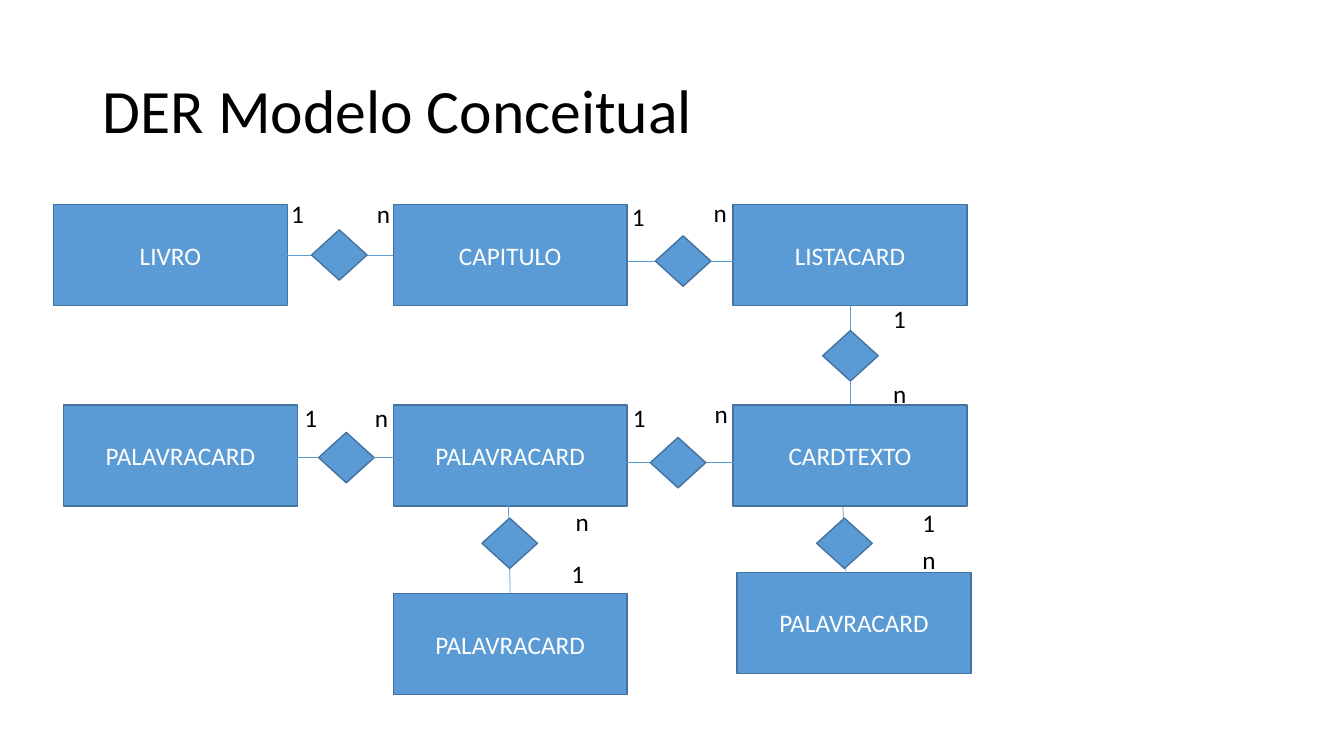
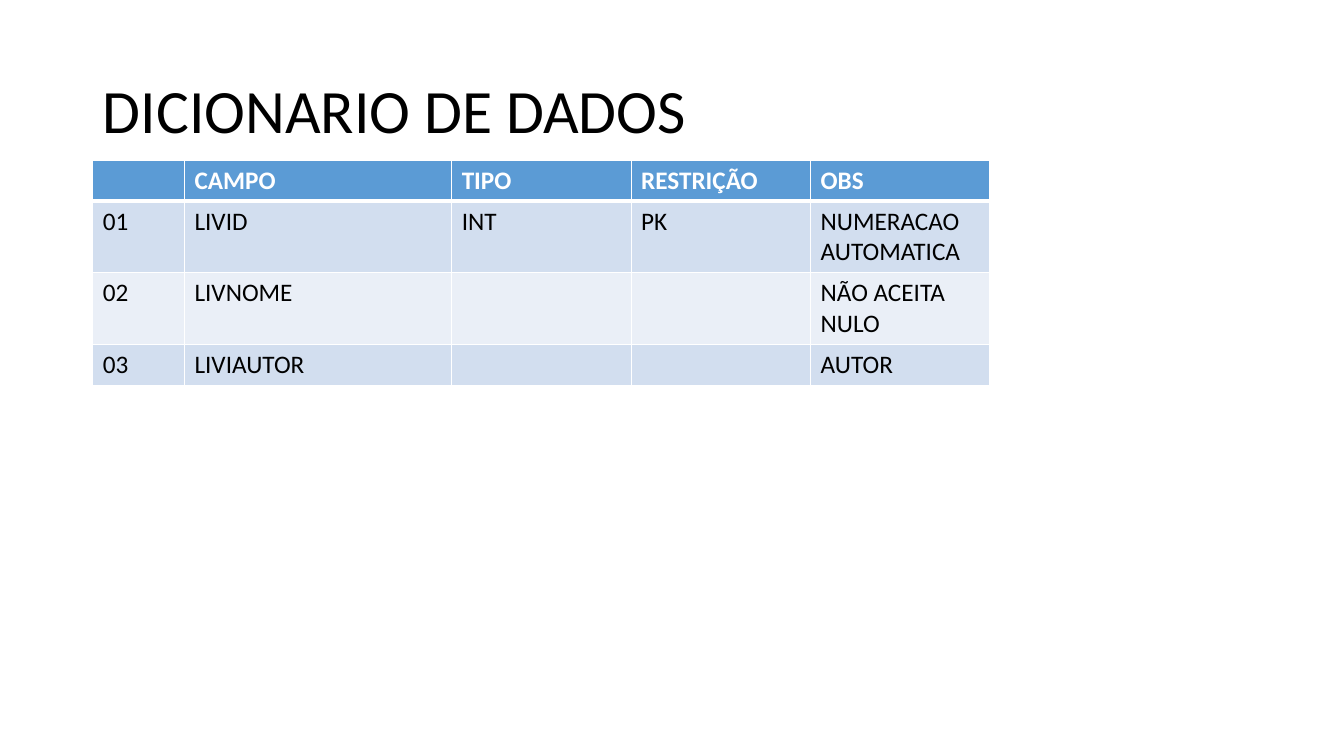
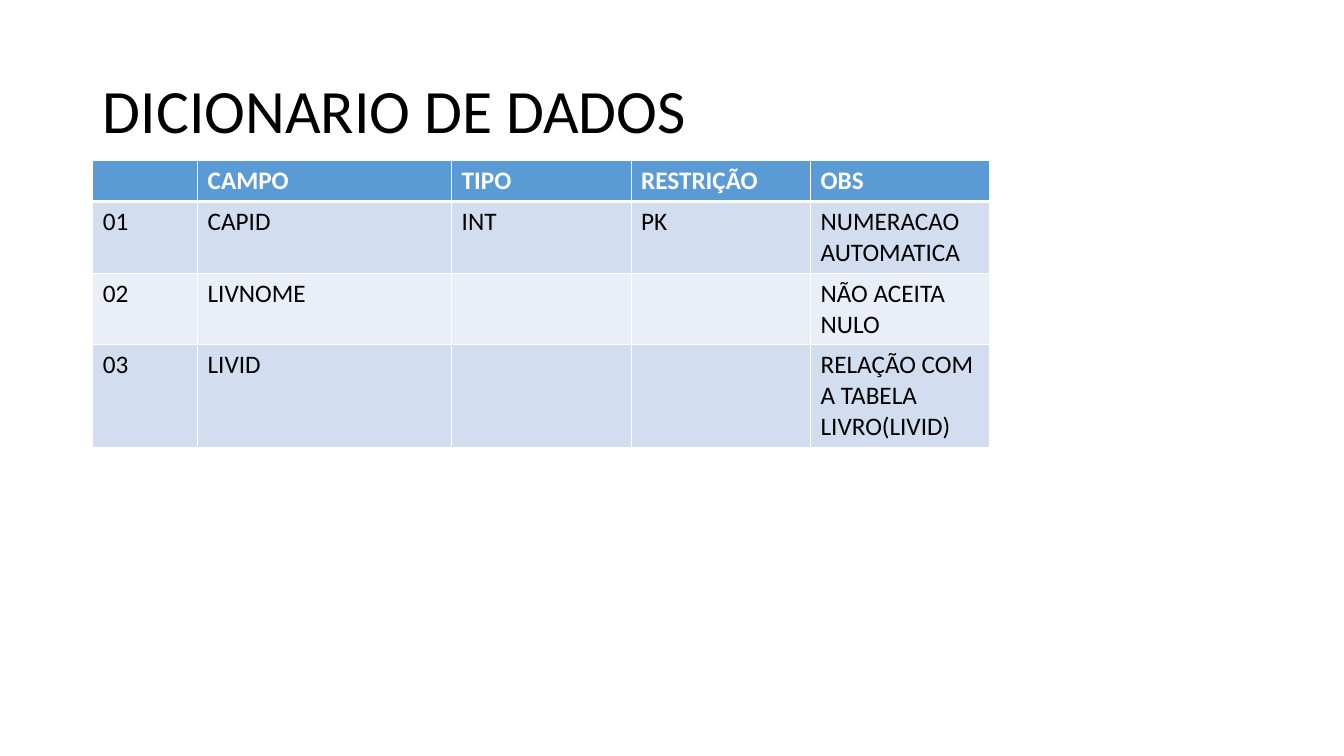
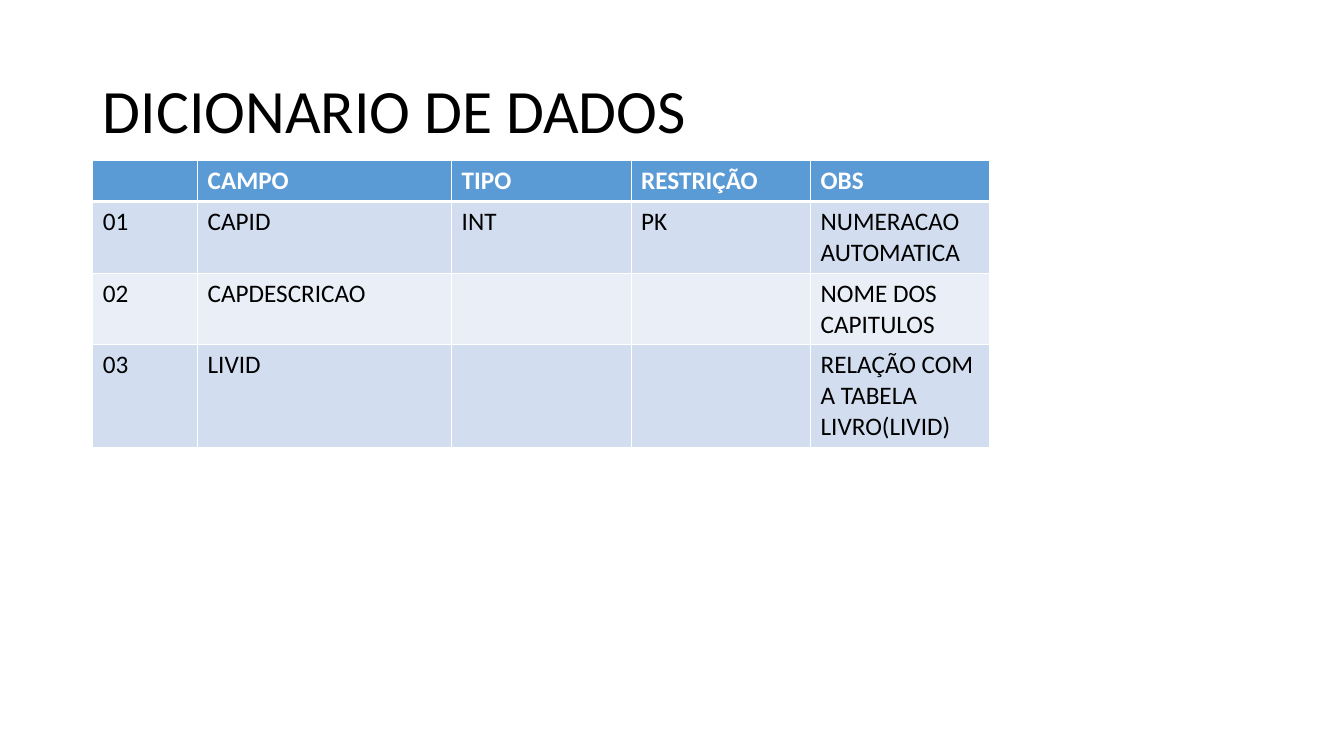
"""Build the conceptual model and data dictionary slides."""
from dataclasses import dataclass

from lxml import etree
from pptx import Presentation
from pptx.dml.color import RGBColor
from pptx.enum import shapes, text
from pptx.oxml import ns
from pptx.util import Inches, Pt

COLORS = {
    "blue": "5B9BD5",
    "outline": "43739E",
    "white": "FFFFFF",
    "black": "000000",
    "odd_row": "D2DEEF",
    "even_row": "EAEFF7",
}
FONT = "Calibri"
BODY_SIZE = 18
ENTITY_SIZE = (2.32, 1)
DIAMOND_SIZE = (0.55, 0.5)
BOTTOM, LEFT, RIGHT, TOP = 2, 1, 3, 0
HEADERS = ("", "CAMPO", "TIPO", "RESTRIÇÃO", "OBS")
AUTO_NUMBER = "NUMERACAO AUTOMATICA"
BOOK_RELATION = "RELAÇÃO COM A TABELA LIVRO(LIVID)"

Point = tuple[float, float]


@dataclass(frozen=True)
class Entity:
    key: str
    name: str
    left: float
    top: float


@dataclass(frozen=True)
class Relation:
    start: Point
    end: Point
    diamond: Point
    one: Point
    many: Point
    source: tuple[str, int] | None = None
    target: tuple[str, int] | None = None


@dataclass(frozen=True)
class Dictionary:
    columns: tuple[float, ...]
    heights: tuple[float, ...]
    height: float
    rows: tuple[tuple[str, ...], ...]


ENTITIES = (
    Entity("book", "LIVRO", 0.53, 2.03),
    Entity("chapter", "CAPITULO", 3.9, 2.03),
    Entity("card_list", "LISTACARD", 7.27, 2.03),
    Entity("left_word", "PALAVRACARD", 0.63, 4.02),
    Entity("middle_word", "PALAVRACARD", 3.9, 4.02),
    Entity("card_text", "CARDTEXTO", 7.27, 4.02),
    Entity("lower_word", "PALAVRACARD", 3.9, 5.89),
    Entity("right_word", "PALAVRACARD", 7.31, 5.68),
)

RELATIONS = (
    Relation((2.85, 2.53), (3.9, 2.53), (3.09, 2.28), (2.79, 1.92), (3.64, 1.92),
             ("book", RIGHT), ("chapter", LEFT)),
    Relation((6.22, 2.59), (7.55, 2.59), (6.5, 2.34), (6.17, 1.95), (6.98, 1.91)),
    Relation((8.43, 4.02), (8.43, 3.03), (8.16, 3.28), (8.76, 2.96), (8.76, 3.7),
             ("card_text", TOP), ("card_list", BOTTOM)),
    Relation((6.16, 4.59), (7.49, 4.59), (6.45, 4.34), (6.18, 3.94), (6.99, 3.9)),
    Relation((2.88, 4.54), (4.21, 4.54), (3.16, 4.29), (2.92, 3.94), (3.62, 3.94)),
    Relation((5.04, 4.87), (5.08, 5.89), (4.78, 5.14), (5.57, 5.49), (5.61, 4.97),
             target=("lower_word", TOP)),
    Relation((8.39, 5.68), (8.36, 5.02), (8.1, 5.14), (9.05, 4.98), (9.05, 5.35)),
)

CHAPTER_COLUMNS = (1.04, 2.52, 1.78, 1.78, 1.78)
CHAPTER_HEIGHTS = (0.41,) * 4
DICTIONARIES = (
    Dictionary((0.91, 2.65, 1.78, 1.78, 1.78), (0.3, 0.52, 0.52, 0.3), 2.2, (
        ("01", "LIVID", "INT", "PK", AUTO_NUMBER),
        ("02", "LIVNOME", "", "", "NÃO ACEITA NULO"),
        ("03", "LIVIAUTOR", "", "", "AUTOR"),
    )),
    Dictionary(CHAPTER_COLUMNS, CHAPTER_HEIGHTS, 2.81, (
        ("01", "CAPID", "INT", "PK", AUTO_NUMBER),
        ("02", "LIVNOME", "", "", "NÃO ACEITA NULO"),
        ("03", "LIVID", "", "", BOOK_RELATION),
    )),
    Dictionary(CHAPTER_COLUMNS, CHAPTER_HEIGHTS, 2.81, (
        ("01", "CAPID", "INT", "PK", AUTO_NUMBER),
        ("02", "CAPDESCRICAO", "", "", "NOME DOS CAPITULOS"),
        ("03", "LIVID", "", "", BOOK_RELATION),
    )),
)


def color(name: str) -> RGBColor:
    return RGBColor.from_string(COLORS[name])


def write(frame, content: str, ink: str, size: float = BODY_SIZE,
          bold: bool = False, align=text.PP_ALIGN.LEFT) -> None:
    frame.text = content
    for para in frame.paragraphs:
        para.alignment = align
        for span in para.runs:
            span.font.name = FONT
            span.font.size = Pt(size)
            span.font.bold = bold
            span.font.color.rgb = color(ink)


def add_page(deck, heading: str):
    page = deck.slides.add_slide(deck.slide_layouts[5])
    title = page.shapes.title
    title.left, title.top = Inches(0.92), Inches(0.4)
    title.width, title.height = Inches(11.5), Inches(1.45)
    frame = title.text_frame
    write(frame, heading, "black", 44)
    frame.auto_size = text.MSO_AUTO_SIZE.NONE
    frame.vertical_anchor = text.MSO_ANCHOR.MIDDLE
    frame.paragraphs[0].line_spacing = 0.9
    return page


def add_block(page, kind, place: Point, size: Point):
    block = page.shapes.add_shape(kind, *map(Inches, place + size))
    block.shadow.inherit = False
    block.fill.solid()
    block.fill.fore_color.rgb = color("blue")
    block.line.color.rgb = color("outline")
    block.line.width = Pt(1)
    return block


def add_entity(page, entity: Entity):
    box = add_block(page, shapes.MSO_SHAPE.RECTANGLE, (entity.left, entity.top), ENTITY_SIZE)
    write(box.text_frame, entity.name, "white", align=text.PP_ALIGN.CENTER)
    box.text_frame.vertical_anchor = text.MSO_ANCHOR.MIDDLE
    return box


def add_label(page, content: str, place: Point) -> None:
    box = page.shapes.add_textbox(*map(Inches, place + (0.33, 0.4)))
    write(box.text_frame, content, "black")
    box.text_frame.word_wrap = False
    box.text_frame.auto_size = text.MSO_AUTO_SIZE.SHAPE_TO_FIT_TEXT


def add_relation(page, relation: Relation, boxes: dict) -> None:
    line = page.shapes.add_connector(
        shapes.MSO_CONNECTOR.STRAIGHT, *map(Inches, relation.start + relation.end))
    line.line.color.rgb = color("blue")
    line.line.width = Pt(0.5)
    etree.SubElement(line._element.spPr, ns.qn("a:effectLst"))
    if relation.source:
        key, side = relation.source
        line.begin_connect(boxes[key], side)
    if relation.target:
        key, side = relation.target
        line.end_connect(boxes[key], side)
    add_block(page, shapes.MSO_SHAPE.DIAMOND, relation.diamond, DIAMOND_SIZE)
    add_label(page, "1", relation.one)
    add_label(page, "n", relation.many)


def set_borders(cell, top: float, bottom: float) -> None:
    properties = cell._tc.get_or_add_tcPr()
    widths = {"lnL": 1, "lnR": 1, "lnT": top, "lnB": bottom}
    for position, (tag, width) in enumerate(widths.items()):
        border = etree.Element(ns.qn(f"a:{tag}"), w=str(Pt(width)))
        fill = etree.SubElement(border, ns.qn("a:solidFill"))
        etree.SubElement(fill, ns.qn("a:srgbClr"), val=COLORS["white"])
        properties.insert(position, border)


def add_dictionary(page, dictionary: Dictionary) -> None:
    rows = (HEADERS,) + dictionary.rows
    table = page.shapes.add_table(
        len(rows), len(HEADERS), Inches(0.92), Inches(1.59),
        Inches(sum(dictionary.columns)), Inches(dictionary.height)).table
    for column, width in zip(table.columns, dictionary.columns):
        column.width = Inches(width)
    for index, (row, values) in enumerate(zip(table.rows, rows)):
        row.height = Inches(dictionary.heights[index])
        is_header = index == 0
        fill = "blue" if is_header else "odd_row" if index % 2 else "even_row"
        for cell, value in zip(row.cells, values):
            write(cell.text_frame, value, "white" if is_header else "black", bold=is_header)
            cell.fill.solid()
            cell.fill.fore_color.rgb = color(fill)
            set_borders(cell, top=3 if index == 1 else 1, bottom=3 if is_header else 1)


def main() -> None:
    deck = Presentation()
    deck.slide_width, deck.slide_height = Inches(13.33), Inches(7.5)
    page = add_page(deck, "DER Modelo Conceitual")
    boxes = {entity.key: add_entity(page, entity) for entity in ENTITIES}
    for relation in RELATIONS:
        add_relation(page, relation, boxes)
    for dictionary in DICTIONARIES:
        add_dictionary(add_page(deck, "DICIONARIO DE DADOS"), dictionary)
    deck.save("out.pptx")


if __name__ == "__main__":
    main()
